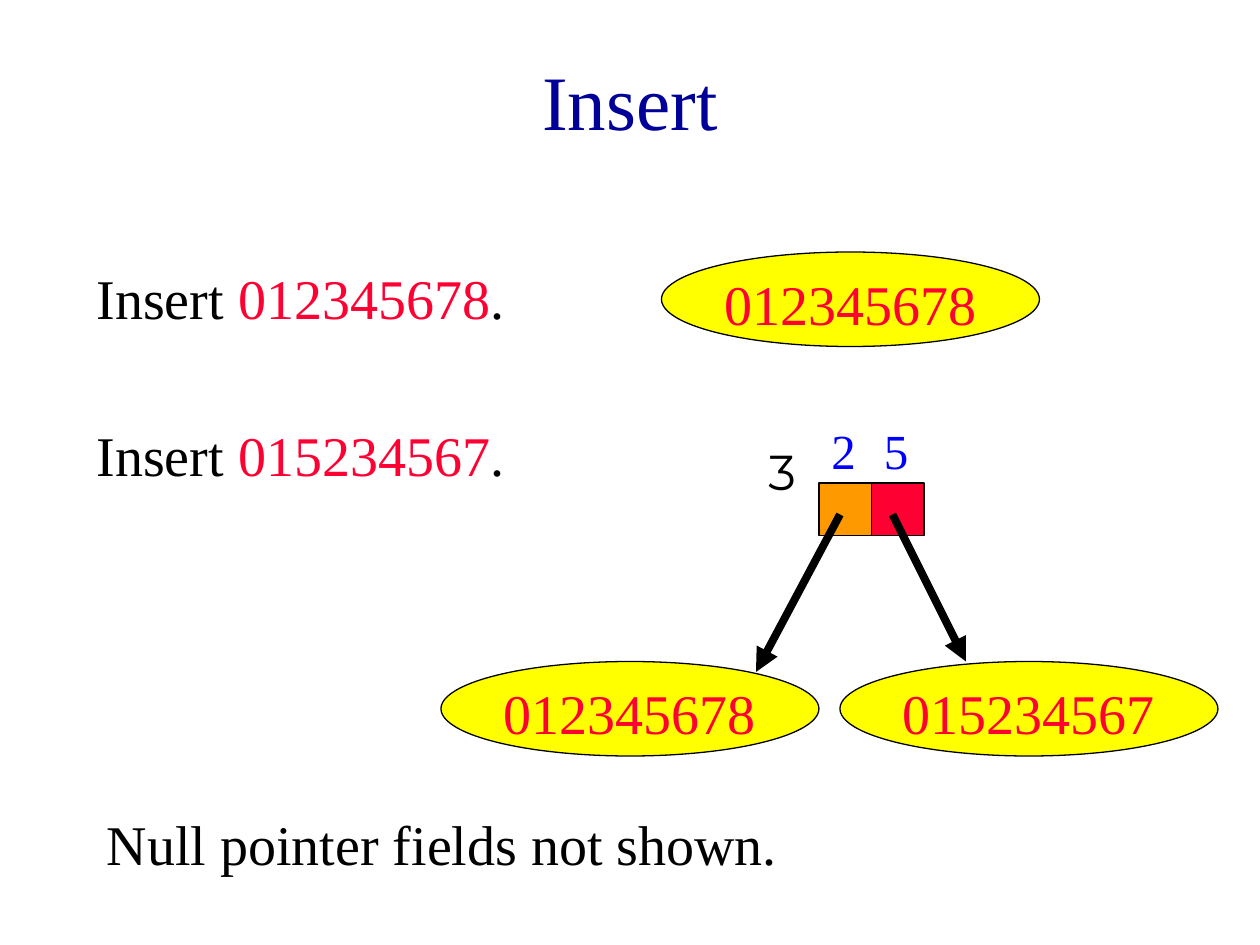
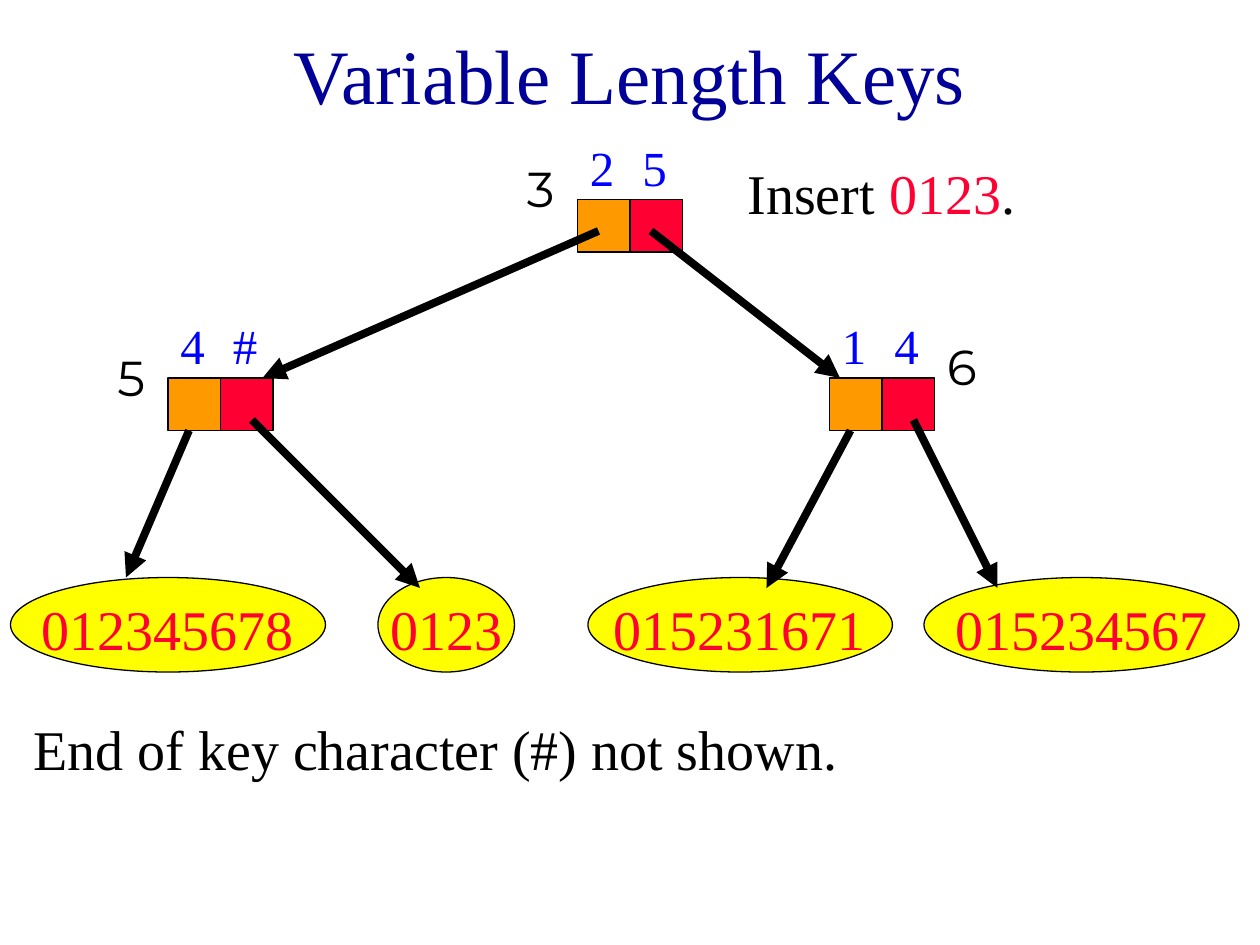
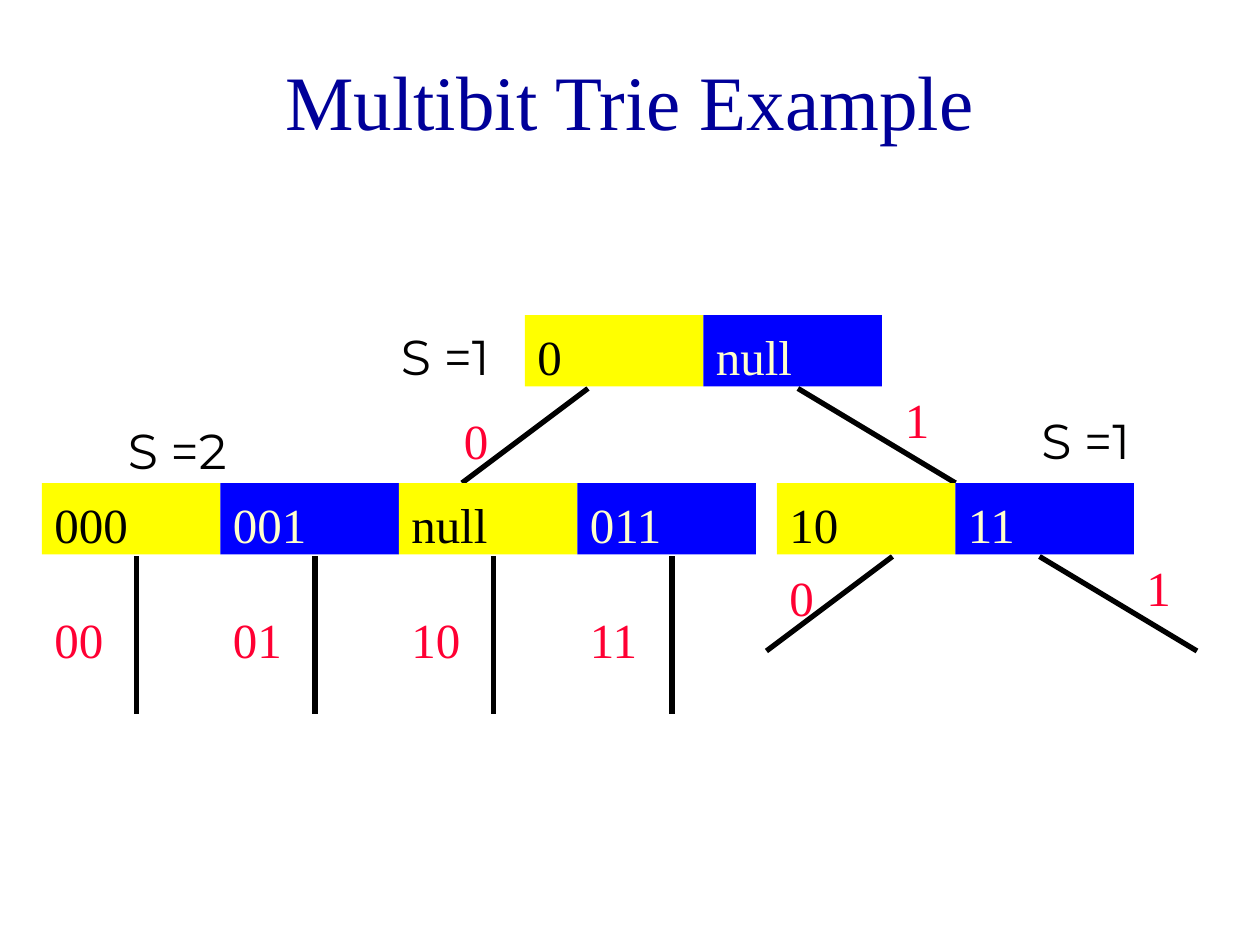
from lxml import etree
from pptx import Presentation
from pptx.dml.color import RGBColor
from pptx.enum.shapes import MSO_CONNECTOR, MSO_SHAPE
from pptx.enum.text import MSO_ANCHOR, PP_ALIGN
from pptx.oxml.ns import qn
from pptx.util import Inches, Pt

STRAIGHT = MSO_CONNECTOR.STRAIGHT
RECTANGLE, ELLIPSE = MSO_SHAPE.RECTANGLE, MSO_SHAPE.OVAL
TOP, MIDDLE = MSO_ANCHOR.TOP, MSO_ANCHOR.MIDDLE
LEFT, CENTER = PP_ALIGN.LEFT, PP_ALIGN.CENTER

# Grid: 120 columns by 90 rows, 12 to the inch
COLUMNS, ROWS, PER_INCH = 120, 90, 12
SERIF, SANS = "Times New Roman", "Montserrat"
BLACK, WHITE, NAVY, BLUE = "000000", "FFFFFF", "000099", "0000FF"
RED, ORANGE, YELLOW, CREAM, INK = "FF0033", "FF9900", "FFFF00", "FFFFCC", "010000"
TITLE_SIZE, BODY_SIZE, LABEL_SIZE = 44, 32, 28
LINE_HEIGHT = 6.8      # rows taken by one label
FIELD = 5              # side of a pointer field
LEAF_HEIGHT = 9
CELL_WIDTH = 17        # width of a multibit cell


def grid(*lengths):
    return [Inches(length / PER_INCH) for length in lengths]


def rgb(color):
    return RGBColor.from_string(color)


def write(shape, runs, size, font=SERIF, align=LEFT, anchor=TOP, wrap=True,
          insets=(0.1, 0.09, 0.1, 0.02)):
    """Put (text, colour) runs into the only paragraph of a shape."""
    frame = shape.text_frame
    frame.word_wrap, frame.vertical_anchor = wrap, anchor
    (frame.margin_left, frame.margin_top,
     frame.margin_right, frame.margin_bottom) = map(Inches, insets)
    paragraph = frame.paragraphs[0]
    paragraph.alignment = align
    for text, color in runs:
        run = paragraph.add_run()
        run.text = text
        run.font.name, run.font.size = font, Pt(size)
        run.font.color.rgb = rgb(color)


def label(slide, x, y, width, text, color, font=SERIF):
    box = slide.shapes.add_textbox(*grid(x, y, width, LINE_HEIGHT))
    write(box, [(text, color)], LABEL_SIZE, font)


def shape(slide, kind, box, fill, outlined=True):
    drawn = slide.shapes.add_shape(kind, *grid(*box))
    drawn.shadow.inherit = False
    drawn.fill.solid()
    drawn.fill.fore_color.rgb = rgb(fill)
    if outlined:
        drawn.line.color.rgb, drawn.line.width = rgb(BLACK), Pt(0.75)
    else:
        drawn.line.fill.background()
    return drawn


def line(slide, start, end, width, arrow=False):
    link = slide.shapes.add_connector(STRAIGHT, *grid(*start, *end))
    link.line.color.rgb, link.line.width = rgb(BLACK), Pt(width)
    if arrow:
        etree.SubElement(link.line._get_or_add_ln(), qn("a:tailEnd"), type="triangle")
    etree.SubElement(link._element.spPr, qn("a:effectLst"))


def title(slide, text, height=15):
    box = slide.shapes.add_textbox(*grid(9, 2, COLUMNS - 18, height))
    write(box, [(text, NAVY)], TITLE_SIZE, align=CENTER, anchor=MIDDLE,
          insets=(0.1, 0.05, 0.1, 0.05))


def sentence(slide, x, y, width, *runs):
    panel = shape(slide, RECTANGLE, (x, y, width, 9), WHITE, outlined=False)
    write(panel, runs, BODY_SIZE)


def insert_step(slide, x, y, key):
    sentence(slide, x, y, 44, ("Insert ", BLACK), (key, RED), (".", BLACK))


def leaf(slide, x, y, width, key):
    oval = shape(slide, ELLIPSE, (x, y, width, LEAF_HEIGHT), YELLOW)
    write(oval, [(key, RED)], BODY_SIZE, align=CENTER, anchor=MIDDLE, wrap=False,
          insets=(0.1, 0.11, 0.1, 0.05))


def branch_node(slide, x, y, digits, position, position_offset, starts, targets):
    """Two pointer fields with their digits, tested position and arrows."""
    for i, (digit, fill) in enumerate(zip(digits, (ORANGE, RED))):
        left = x + i * FIELD
        shape(slide, RECTANGLE, (left, y, FIELD, FIELD), fill)
        label(slide, left, y - 7, 4.2, digit, BLUE)
    dx, dy = position_offset
    label(slide, x + dx, y + dy, 8, position, INK, SANS)
    for (dx, dy), target in zip(starts, targets):
        line(slide, (x + dx, y + dy), target, 4.5, arrow=True)


ROOT_STARTS = ((2, 3), (7, 3))
INNER_STARTS = ((2, 5), (8, 4))


def multibit_node(slide, x, y, entries):
    """A row of cells in alternating colours."""
    for i, entry in enumerate(entries):
        fill, color = ((YELLOW, BLACK), (BLUE, CREAM))[i % 2]
        cell = shape(slide, RECTANGLE,
                     (x + i * CELL_WIDTH, y, CELL_WIDTH, LINE_HEIGHT), fill, outlined=False)
        write(cell, [(entry, color)], LABEL_SIZE)


def bit_branches(slide, x, y, branches):
    """Lines below a node; start, end and label are offsets from its corner."""
    for bits, start, end, (dx, dy) in branches:
        line(slide, (x + start[0], y + start[1]), (x + end[0], y + end[1]), 3)
        label(slide, x + dx, y + dy, 4 + 2 * len(bits), bits, RED)


def insert_slide(slide):
    title(slide, "Insert")
    # Steps and note
    insert_step(slide, 8, 24, "012345678")
    insert_step(slide, 8, 39, "015234567")
    sentence(slide, 9, 76, 67, ("Null pointer fields not shown.", BLACK))
    # Trie after each step
    for x, y, key in ((63, 24, "012345678"), (42, 63, "012345678"), (80, 63, "015234567")):
        leaf(slide, x, y, 36, key)
    branch_node(slide, 78, 46, "25", "3", (-6, -5), ROOT_STARTS, ((72, 64), (92, 63)))


def variable_length_slide(slide):
    title(slide, "Variable Length Keys", 10)
    # Note and step
    sentence(slide, 2, 67, 82, ("End of key character (#) not shown.", BLACK))
    insert_step(slide, 70, 14, "0123")
    # Leaves
    for x, width, key in ((1, 30, "012345678"), (36, 13, "0123"),
                          (56, 29, "015231671"), (88, 30, "015234567")):
        leaf(slide, x, 55, width, key)
    # Branch nodes
    branch_node(slide, 55, 19, "25", "3", (-6, -5), ROOT_STARTS, ((25, 36), (80, 36)))
    branch_node(slide, 79, 36, "14", "6", (10, -5), INNER_STARTS, ((73, 56), (95, 56)))
    branch_node(slide, 16, 36, "4#", "5", (-6, -4), INNER_STARTS, ((12, 55), (40, 56)))


def multibit_slide(slide):
    title(slide, "Multibit Trie Example")
    # Branches
    bit_branches(slide, 50, 30, (("0", (6, 7), (-6, 16), (-7, 8)),
                                 ("1", (26, 7), (41, 16), (35, 6))))
    bit_branches(slide, 74, 46, (("0", (11, 7), (-1, 16), (0, 7)),
                                 ("1", (25, 7), (40, 16), (34, 6))))
    for i, bits in enumerate(("00", "01", "10", "11")):
        bit_branches(slide, 4 + i * CELL_WIDTH, 46, ((bits, (9, 7), (9, 22), (0, 11)),))
    # Nodes
    multibit_node(slide, 50, 30, ("0", "null"))
    multibit_node(slide, 4, 46, ("000", "001", "null", "011"))
    multibit_node(slide, 74, 46, ("10", "11"))
    # Strides
    for x, y, stride in ((37, 30, 1), (11, 39, 2), (98, 38, 1)):
        label(slide, x, y, CELL_WIDTH, f"S ={stride}", INK, SANS)


def main():
    deck = Presentation()
    deck.slide_width, deck.slide_height = grid(COLUMNS, ROWS)
    blank = deck.slide_layouts[6]
    for build in (insert_slide, variable_length_slide, multibit_slide):
        build(deck.slides.add_slide(blank))
    deck.save("out.pptx")


if __name__ == "__main__":
    main()
